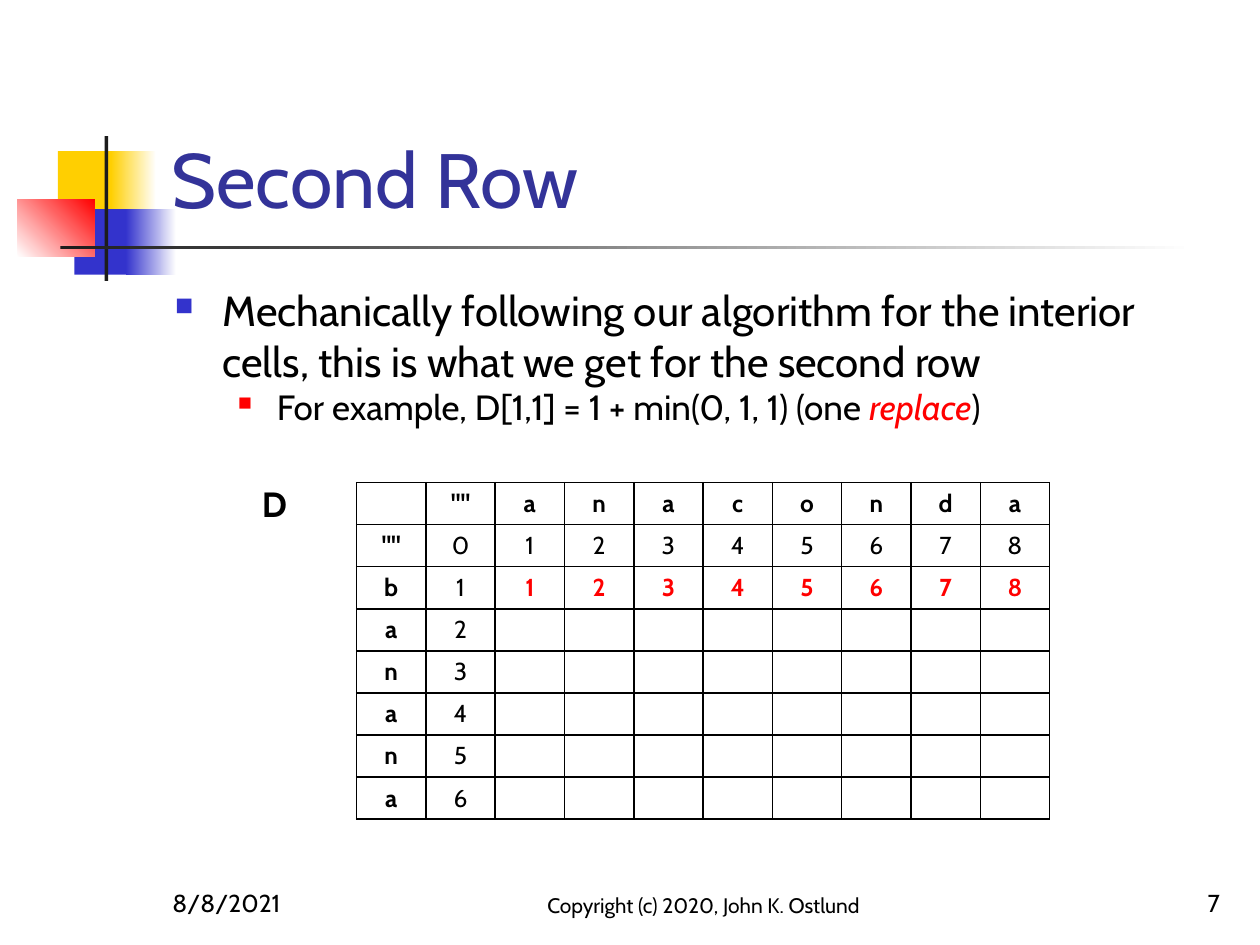
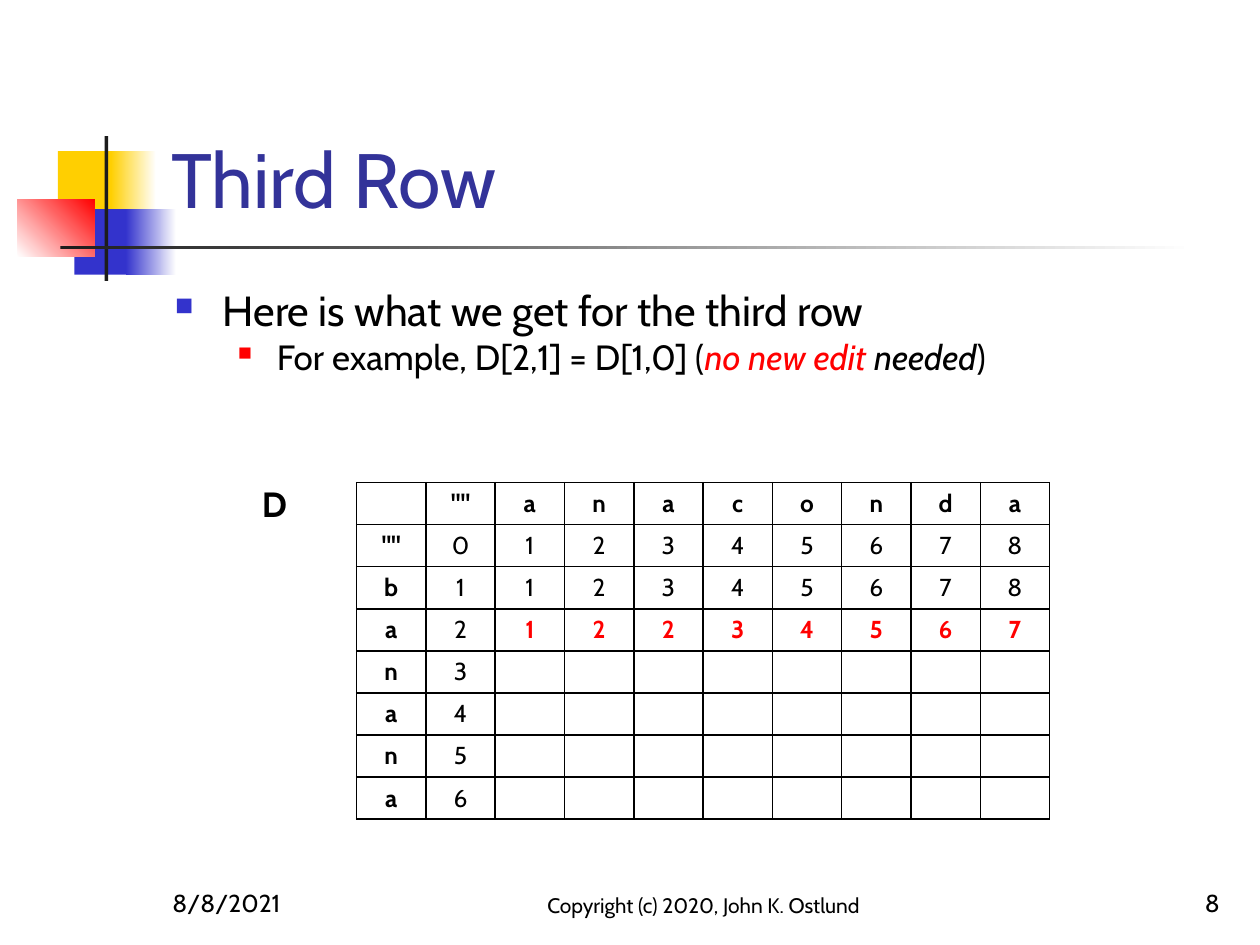
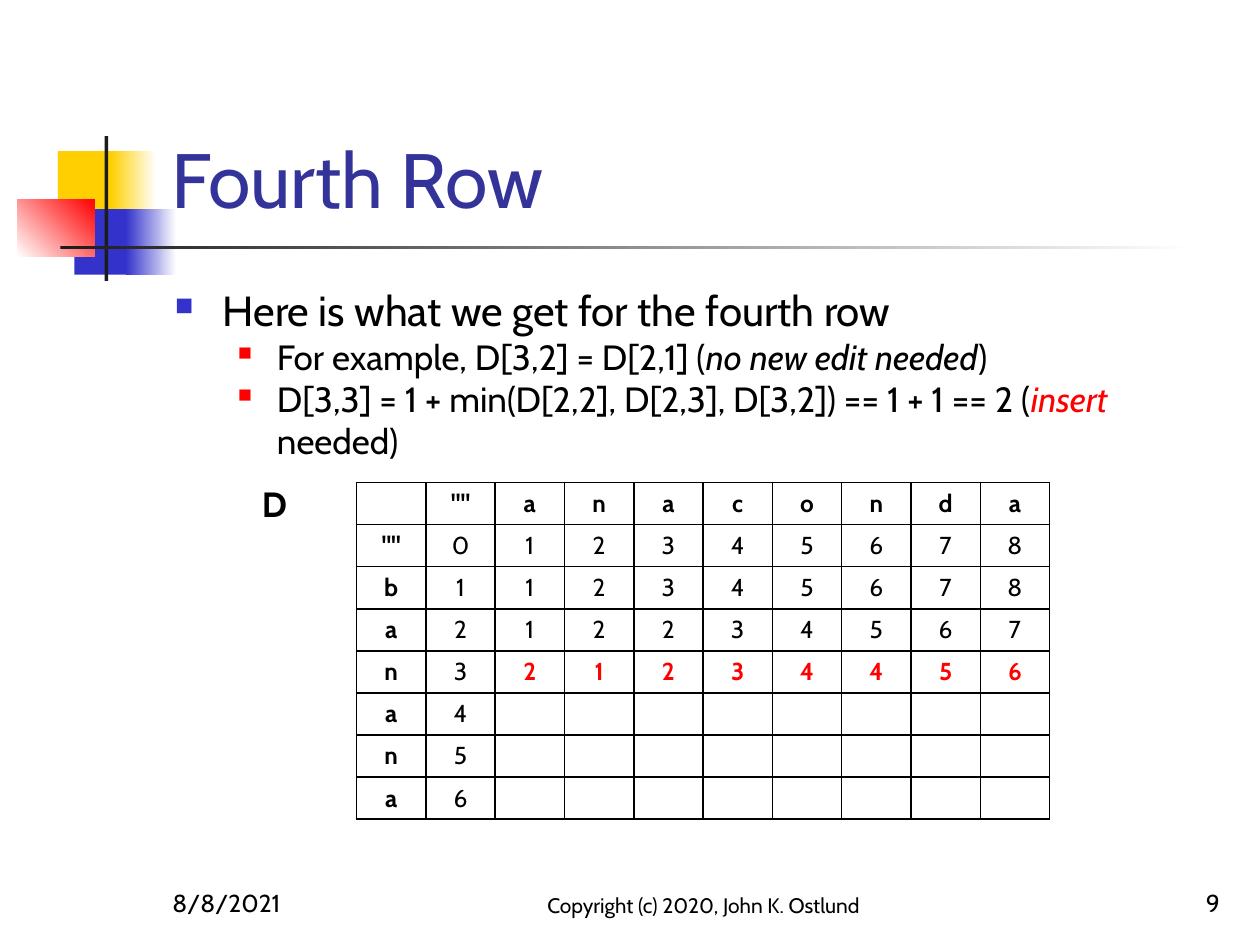
from dataclasses import dataclass
from typing import NamedTuple, Optional

from lxml import etree
from pptx import Presentation
from pptx.dml.color import RGBColor
from pptx.enum.shapes import MSO_SHAPE
from pptx.enum.text import MSO_ANCHOR, PP_ALIGN
from pptx.oxml.ns import qn
from pptx.util import Inches, Pt

RECTANGLE = MSO_SHAPE.RECTANGLE
LEFT, CENTER, RIGHT = PP_ALIGN.LEFT, PP_ALIGN.CENTER, PP_ALIGN.RIGHT
TOP, MIDDLE, BOTTOM = MSO_ANCHOR.TOP, MSO_ANCHOR.MIDDLE, MSO_ANCHOR.BOTTOM

FONT = "Cabin"
BLACK = RGBColor(0x00, 0x00, 0x00)
WHITE = RGBColor(0xFF, 0xFF, 0xFF)
CHARCOAL = RGBColor(0x1C, 0x1C, 0x1C)
NAVY = RGBColor(0x33, 0x33, 0x99)
BLUE = RGBColor(0x33, 0x33, 0xCC)
RED = RGBColor(0xFF, 0x00, 0x00)
YELLOW = RGBColor(0xFF, 0xCF, 0x01)

SOURCE_WORD = "banana"
TARGET_WORD = "anaconda"
EMPTY_WORD = '""'
FIRST_PAGE = 7
CELL_WIDTH, CELL_HEIGHT = 0.55, 0.33
CELL_SIZE = 14


class Box(NamedTuple):
    left: float
    top: float
    width: float
    height: float

    def lengths(self) -> list:
        return [Inches(value) for value in self]


class Band(NamedTuple):
    box: Box
    start: RGBColor
    end: Optional[RGBColor] = None
    angle: int = 0


class TextStyle(NamedTuple):
    box: Box
    size: int
    color: RGBColor = BLACK
    align: int = LEFT
    anchor: int = BOTTOM
    bold: bool = False


class Piece(NamedTuple):
    text: str
    color: RGBColor = BLACK
    italic: bool = False


class BulletStyle(NamedTuple):
    margin: float
    hanging: float
    color: RGBColor
    percent: int
    size: int


@dataclass
class Bullet:
    style: BulletStyle
    pieces: list


@dataclass
class RowSlide:
    title: str
    bullets: list
    filled_row: int


BANDS = [
    Band(Box(0.46, 1.2, 0.48, 0.52), YELLOW),
    Band(Box(0.88, 1.2, 0.36, 0.52), YELLOW, WHITE),
    Band(Box(0.59, 1.66, 0.46, 0.52), BLUE),
    Band(Box(1, 1.66, 0.4, 0.52), BLUE, WHITE),
    Band(Box(0.14, 1.58, 0.61, 0.46), WHITE, RED, 45),
    Band(Box(0.83, 1.08, 0.03, 1.15), CHARCOAL),
    Band(Box(0.48, 1.95, 9, 0.03), CHARCOAL, WHITE),
]

TITLE = TextStyle(Box(1.26, 0.23, 8.52, 1.6), 44, NAVY)
DATE = TextStyle(Box(1.27, 6.83, 2.08, 0.5), 14)
COPYRIGHT = TextStyle(Box(4, 6.83, 3.17, 0.5), 12, align=CENTER)
PAGE = TextStyle(Box(7.7, 6.83, 2.08, 0.5), 14, align=RIGHT)
MATRIX_NAME = TextStyle(Box(1.98, 3.78, 0.5, 0.44), 20, anchor=MIDDLE, bold=True)
BODY_BOX = Box(1.29, 2.21, 8.5, 4.5)
MATRIX_LEFT, MATRIX_TOP = 2.83, 3.83

MAIN = BulletStyle(0.38, 0.38, BLUE, 60, 24)
DETAIL = BulletStyle(0.81, 0.31, RED, 55, 20)

SLIDES = [
    RowSlide("Second Row", [
        Bullet(MAIN, [Piece("Mechanically following our algorithm for the interior "
                            "cells, this is what we get for the second row")]),
        Bullet(DETAIL, [Piece("For example, D[1,1] = 1 + min(0, 1, 1) (one "),
                        Piece("replace", RED, True), Piece(")")]),
    ], 1),
    RowSlide("Third Row", [
        Bullet(MAIN, [Piece("Here is what we get for the third row")]),
        Bullet(DETAIL, [Piece("For example, D[2,1] = D[1,0] ("),
                        Piece("no new edit ", RED, True),
                        Piece("needed", italic=True), Piece(")")]),
    ], 2),
    RowSlide("Fourth Row", [
        Bullet(MAIN, [Piece("Here is what we get for the fourth row")]),
        Bullet(DETAIL, [Piece("For example, D[3,2] = D[2,1] ("),
                        Piece("no new edit needed", italic=True), Piece(")")]),
        Bullet(DETAIL, [Piece("D[3,3] = 1 + min(D[2,2], D[2,3], D[3,2]) == 1 + 1 == 2 ("),
                        Piece("insert", RED, True), Piece(" needed)")]),
    ], 3),
]


def edit_distances(source: str, target: str) -> list:
    """Distances between every prefix of source and every prefix of target."""
    rows = [list(range(len(target) + 1))]
    for number, letter in enumerate(source, 1):
        above, row = rows[-1], [number]
        for column, other in enumerate(target, 1):
            if letter == other:
                row.append(above[column - 1])
            else:
                row.append(1 + min(above[column - 1], above[column], row[-1]))
        rows.append(row)
    return rows


def add_run(paragraph, text: str, size: int, color: RGBColor = BLACK,
            bold: bool = False, italic: bool = False) -> None:
    run = paragraph.add_run()
    run.text = text
    font = run.font
    font.name, font.size = FONT, Pt(size)
    font.bold, font.italic = bold, italic
    font.color.rgb = color


def add_frame(slide, box: Box, anchor: int):
    frame = slide.shapes.add_textbox(*box.lengths()).text_frame
    frame.word_wrap = True
    frame.vertical_anchor = anchor
    return frame


def add_text(slide, text: str, style: TextStyle) -> None:
    paragraph = add_frame(slide, style.box, style.anchor).paragraphs[0]
    paragraph.alignment = style.align
    add_run(paragraph, text, style.size, style.color, style.bold)


def add_band(slide, band: Band) -> None:
    shape = slide.shapes.add_shape(RECTANGLE, *band.box.lengths())
    shape.shadow.inherit = False
    shape.line.fill.background()
    if band.end is None:
        shape.fill.solid()
        shape.fill.fore_color.rgb = band.start
        return
    shape.fill.gradient()
    shape.fill.gradient_angle = band.angle
    for stop, color in zip(shape.fill.gradient_stops, (band.start, band.end)):
        stop.color.rgb = color


def set_bullet(paragraph, style: BulletStyle) -> None:
    properties = paragraph._p.get_or_add_pPr()
    properties.set("marL", str(Inches(style.margin)))
    properties.set("indent", str(-Inches(style.hanging)))
    color = etree.SubElement(properties, qn("a:buClr"))
    etree.SubElement(color, qn("a:srgbClr"), val=str(style.color))
    etree.SubElement(properties, qn("a:buSzPct"), val=str(style.percent * 1000))
    etree.SubElement(properties, qn("a:buChar"), char="■")


def add_bullets(slide, bullets: list) -> None:
    frame = add_frame(slide, BODY_BOX, TOP)
    for index, bullet in enumerate(bullets):
        paragraph = frame.add_paragraph() if index else frame.paragraphs[0]
        set_bullet(paragraph, bullet.style)
        for piece in bullet.pieces:
            add_run(paragraph, piece.text, bullet.style.size, piece.color,
                    italic=piece.italic)


def set_borders(cell) -> None:
    properties = cell._tc.get_or_add_tcPr()
    for index, side in enumerate(("a:lnL", "a:lnR", "a:lnT", "a:lnB")):
        line = etree.Element(qn(side), w=str(Pt(1)))
        fill = etree.SubElement(line, qn("a:solidFill"))
        etree.SubElement(fill, qn("a:srgbClr"), val=str(BLACK))
        properties.insert(index, line)


def fill_cell(cell, text: str, color: RGBColor, bold: bool) -> None:
    cell.fill.background()
    set_borders(cell)
    cell.vertical_anchor = MIDDLE
    paragraph = cell.text_frame.paragraphs[0]
    paragraph.alignment = CENTER
    if text:
        add_run(paragraph, text, CELL_SIZE, color, bold)
    else:
        # An empty cell keeps the row as low as the filled ones
        ending = etree.SubElement(paragraph._p, qn("a:endParaRPr"),
                                  sz=str(CELL_SIZE * 100))
        etree.SubElement(ending, qn("a:latin"), typeface=FONT)


def add_matrix(slide, filled_row: int) -> None:
    """Distance table, filled as far as filled_row, which is in red."""
    column_heads = ["", EMPTY_WORD, *TARGET_WORD]
    row_heads = [EMPTY_WORD, *SOURCE_WORD]
    row_count, column_count = len(row_heads) + 1, len(column_heads)
    box = Box(MATRIX_LEFT, MATRIX_TOP,
              column_count * CELL_WIDTH, row_count * CELL_HEIGHT)
    table = slide.shapes.add_table(row_count, column_count, *box.lengths()).table
    table.first_row = table.horz_banding = False
    for column in table.columns:
        column.width = Inches(CELL_WIDTH)
    for row in table.rows:
        row.height = Inches(CELL_HEIGHT)

    for index, head in enumerate(column_heads):
        fill_cell(table.cell(0, index), head, BLACK, True)
    distances = edit_distances(SOURCE_WORD, TARGET_WORD)
    for number, (head, values) in enumerate(zip(row_heads, distances)):
        fill_cell(table.cell(number + 1, 0), head, BLACK, True)
        for position, value in enumerate(values):
            shown = number <= filled_row or position == 0
            is_new = number == filled_row and position > 0
            fill_cell(table.cell(number + 1, position + 1),
                      str(value) if shown else "",
                      RED if is_new else BLACK, is_new)


def add_row_slide(presentation, content: RowSlide, page: int) -> None:
    slide = presentation.slides.add_slide(presentation.slide_layouts[6])
    # Shared decoration and title
    for band in BANDS:
        add_band(slide, band)
    add_text(slide, content.title, TITLE)
    # Explanation and matrix
    add_bullets(slide, content.bullets)
    add_text(slide, "D", MATRIX_NAME)
    add_matrix(slide, content.filled_row)
    # Footer
    add_text(slide, "8/8/2021", DATE)
    add_text(slide, "Copyright (c) 2020, John K. Ostlund", COPYRIGHT)
    add_text(slide, str(page), PAGE)


def main() -> None:
    presentation = Presentation()
    presentation.slide_width = Inches(10)
    presentation.slide_height = Inches(7.5)
    for page, content in enumerate(SLIDES, FIRST_PAGE):
        add_row_slide(presentation, content, page)
    presentation.save("out.pptx")


if __name__ == "__main__":
    main()
